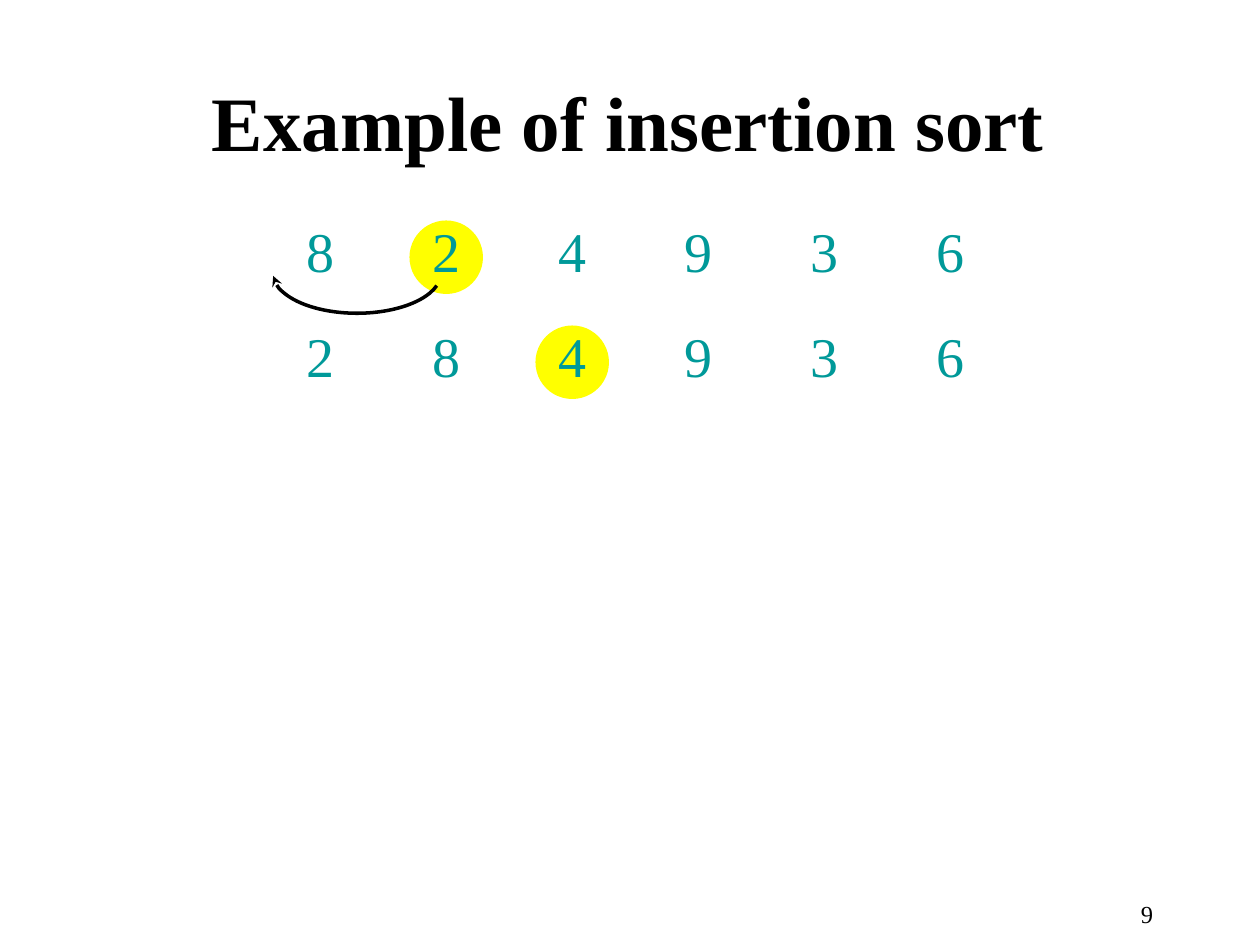
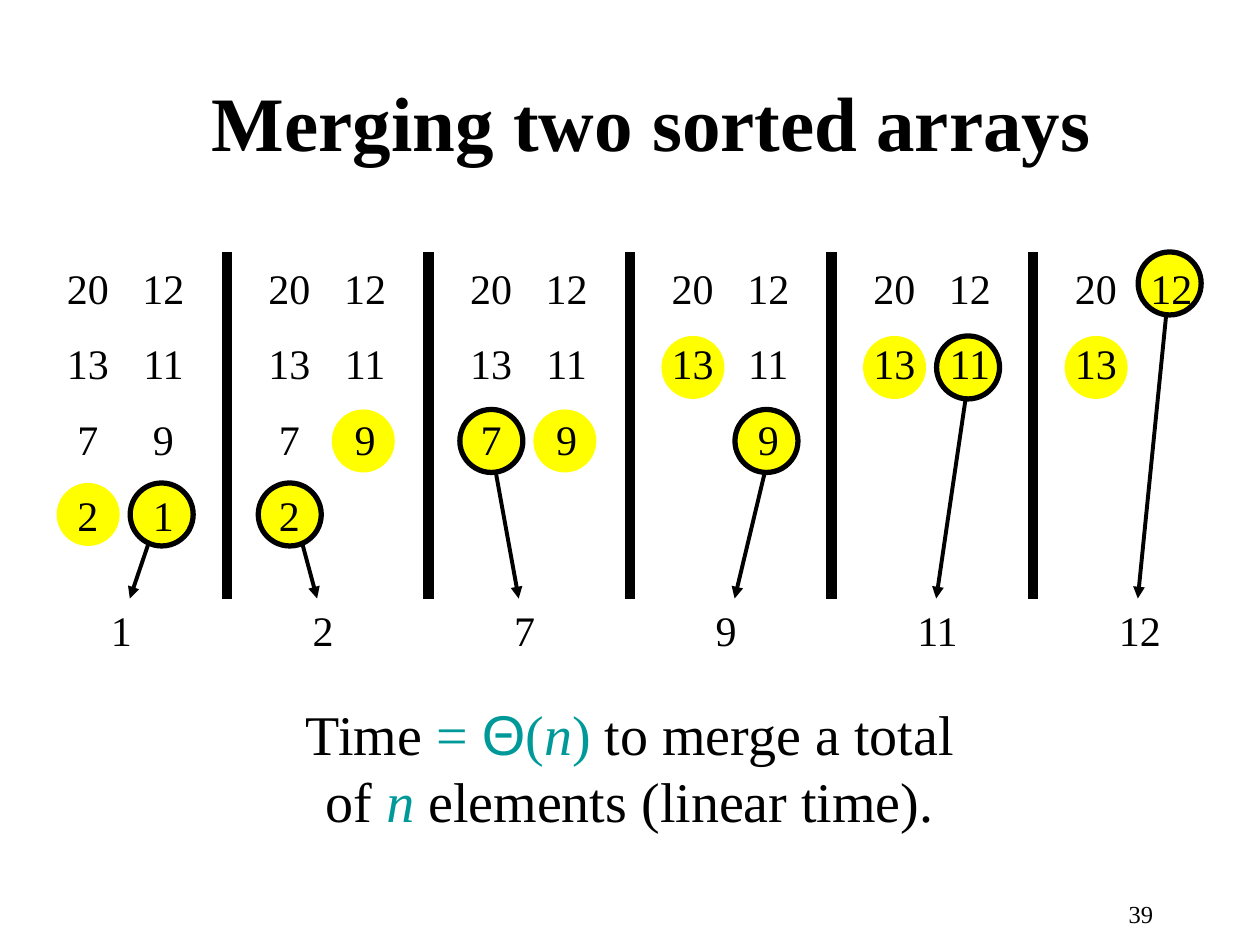
from pptx import Presentation
from pptx.dml.color import RGBColor
from pptx.enum import shapes, text
from pptx.oxml.ns import qn
from pptx.util import Pt
from lxml import etree

BLACK = RGBColor(0x00, 0x00, 0x00)
TEAL = RGBColor(0x00, 0x99, 0x99)
YELLOW = RGBColor(0xFF, 0xFF, 0x00)
SERIF = "Times New Roman"
LEFT, CENTER, RIGHT = text.PP_ALIGN.LEFT, text.PP_ALIGN.CENTER, text.PP_ALIGN.RIGHT


class Lecture:
    """Holds the lecture style and draws elements on the current slide, in points."""

    def __init__(self):
        self.deck = Presentation()
        self.deck.slide_width, self.deck.slide_height = Pt(720), Pt(540)
        self.slide = None

    def start_slide(self, title, number):
        self.slide = self.deck.slides.add_slide(self.deck.slide_layouts[6])
        heading = self.text([title], 114, 24, 594, 90, 44, wrap=True)
        heading.vertical_anchor = text.MSO_ANCHOR.MIDDLE
        heading.paragraphs[0].font.bold = True
        self.text([number], 516, 510, 150, 18, 14, align=RIGHT, wrap=True)

    def text(self, lines, x, y, width, height, size, color=BLACK, align=LEFT,
             spacing=None, wrap=False):
        frame = self.slide.shapes.add_textbox(Pt(x), Pt(y), Pt(width), Pt(height)).text_frame
        frame.word_wrap = wrap
        for i, line in enumerate(lines):
            paragraph = frame.add_paragraph() if i else frame.paragraphs[0]
            paragraph.alignment = align
            paragraph.line_spacing = spacing
            paragraph.font.name, paragraph.font.size = SERIF, Pt(size)
            paragraph.font.color.rgb = color
            paragraph.add_run().text = str(line)
        return frame

    def numbers(self, values, x, y, size, color=BLACK, align=CENTER, spacing=None):
        width = 14.4 + size / 2 * max(len(str(value)) for value in values)
        height = 7.2 + 1.2 * size * len(values) * (spacing or 1)
        self.text(values, x, y, width, height, size, color, align, spacing)

    def formula(self, pieces, x, y, width, height, size):
        frame = self.text([], x, y, width, height, size, wrap=True)
        paragraph = frame.paragraphs[0]
        paragraph.alignment = CENTER
        paragraph.font.size = Pt(size)
        for words, color, font, italic in pieces:
            run = paragraph.add_run()
            run.text = words
            run.font.name, run.font.italic = font, italic
            run.font.color.rgb = color

    def circle(self, x, y, diameter, ringed=False):
        disc = self.slide.shapes.add_shape(
            shapes.MSO_SHAPE.OVAL, Pt(x), Pt(y), Pt(diameter), Pt(diameter))
        disc.shadow.inherit = False
        disc.fill.solid()
        disc.fill.fore_color.rgb = YELLOW
        if ringed:
            disc.line.color.rgb, disc.line.width = BLACK, Pt(3)
        else:
            disc.line.fill.background()

    def arrowhead(self, line, kind):
        etree.SubElement(line._get_or_add_ln(), qn("a:tailEnd"), type=kind)

    def line(self, x1, y1, x2, y2, width, head=None):
        stroke = self.slide.shapes.add_connector(
            shapes.MSO_CONNECTOR.STRAIGHT, Pt(x1), Pt(y1), Pt(x2), Pt(y2))
        stroke.line.color.rgb, stroke.line.width = BLACK, Pt(width)
        if head:
            self.arrowhead(stroke.line, head)
        etree.SubElement(stroke._element.spPr, qn("a:effectLst"))

    def arc(self, x, y, width, height, start, end):
        curve = self.slide.shapes.add_shape(
            shapes.MSO_SHAPE.ARC, Pt(x), Pt(y), Pt(width), Pt(height))
        curve.shadow.inherit = False
        curve.adjustments[0], curve.adjustments[1] = start * 0.6, end * 0.6
        curve.fill.background()
        curve.line.color.rgb, curve.line.width = BLACK, Pt(2)
        self.arrowhead(curve.line, "stealth")


def insertion_sort(lecture):
    lecture.start_slide("Example of insertion sort", 9)
    steps = [([8, 2, 4, 9, 3, 6], 1), ([2, 8, 4, 9, 3, 6], 2)]
    for row, (values, key) in enumerate(steps):
        top = 120 + 60 * row
        lecture.circle(162 + 72 * key, top + 6, 42)
        for column, value in enumerate(values):
            lecture.numbers([value], 168 + 72 * column, top, 32, TEAL)
    lecture.arc(156, 133, 96, 46, 9, 178)


def merging(lecture):
    lecture.start_slide("Merging two sorted arrays", 39)
    arrays = [[20, 13, 7, 2], [12, 11, 9, 1]]
    row_tops = [144, 192, 234, 276]
    arrow_starts = [(86.4, 306), (54.7, 300), (47.5, 240), (94.3, 258), (93.6, 210), (92.2, 162)]
    for stage, (start_x, start_y) in enumerate(arrow_starts):
        left = 115.2 * stage
        smaller = min(arrays, key=lambda array: array[-1])
        tip = 66 if smaller is arrays[0] else 74.2
        lecture.line(left + start_x, start_y, left + tip, 342, 2.25, "triangle")
        for side, array in enumerate(arrays):
            lecture.circle(left + 32.4 + 42 * side, row_tops[len(array) - 1], 36,
                           ringed=array is smaller)
        for side, array in enumerate(arrays):
            lecture.numbers(array, left + 31 + 43.2 * side, 132, 24, spacing=1.5)
        lecture.numbers([smaller.pop()], left + 56.3, 342, 24, align=LEFT)
        if stage:
            lecture.line(left + 14.4, 144, left + 14.4, 342, 6)
    lecture.formula([
        ("Time ", BLACK, SERIF, False),
        ("= ", TEAL, SERIF, False),
        ("Θ", TEAL, "Arial", False),
        ("(", TEAL, SERIF, False),
        ("n", TEAL, SERIF, True),
        (") ", TEAL, SERIF, False),
        ("to merge a total of ", BLACK, SERIF, False),
        ("n", TEAL, SERIF, True),
        (" elements (linear time).", BLACK, SERIF, False),
    ], 161.3, 396, 397.4, 84, 32)


def main():
    lecture = Lecture()
    insertion_sort(lecture)
    merging(lecture)
    lecture.deck.save("out.pptx")


if __name__ == "__main__":
    main()
